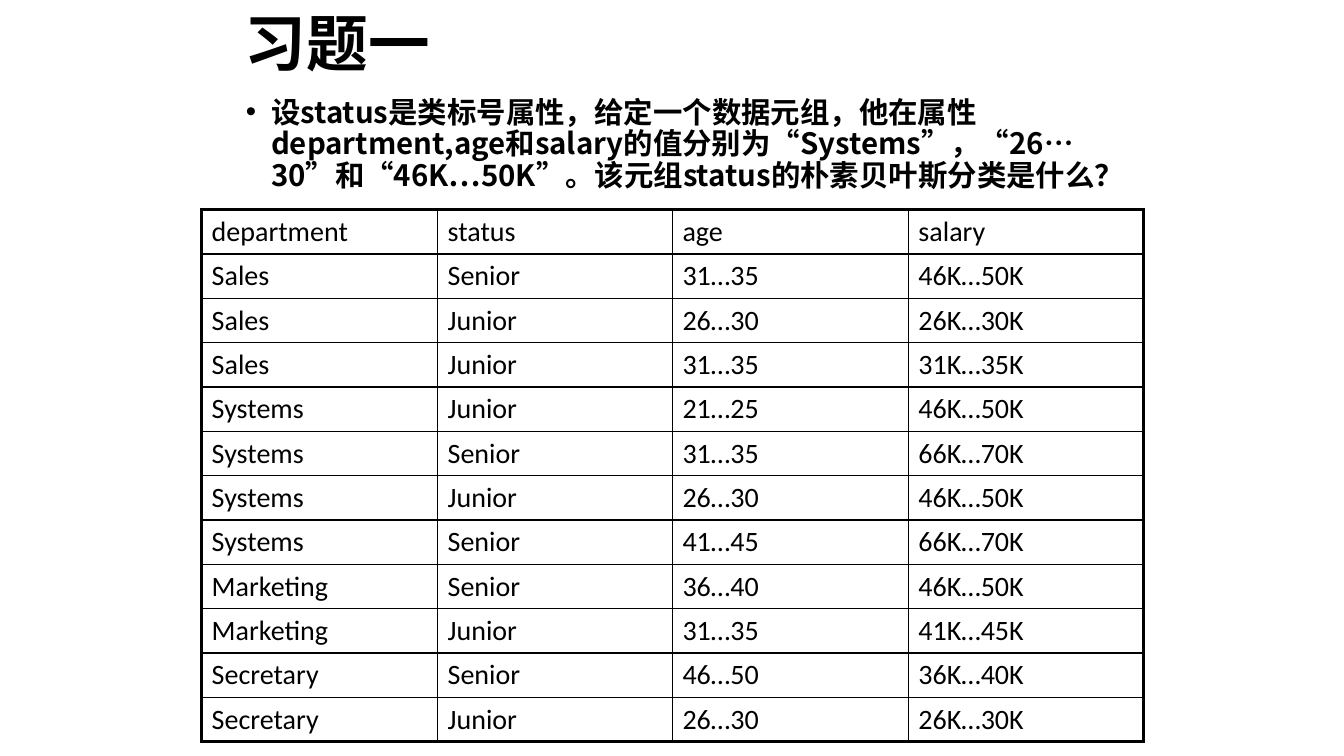
from dataclasses import dataclass
from typing import Any

from lxml import etree
from pptx import Presentation
from pptx.dml.color import RGBColor
from pptx.enum.lang import MSO_LANGUAGE_ID
from pptx.enum.text import MSO_ANCHOR
from pptx.oxml.ns import qn
from pptx.util import Inches, Pt

CHINESE = MSO_LANGUAGE_ID.SIMPLIFIED_CHINESE
TOP, MIDDLE = MSO_ANCHOR.TOP, MSO_ANCHOR.MIDDLE
BLACK = "000000"
LINE_SPACING = 0.9
CJK_FONT = "Noto Sans CJK SC"
HEADING = {"name": CJK_FONT, "size": Pt(44), "bold": True, "language_id": CHINESE}
QUESTION = {"name": CJK_FONT, "size": Pt(21), "bold": True, "language_id": CHINESE}
CELL = {"name": "Calibri", "size": Pt(20), "bold": False}

OUTER, INNER = 2.25, 1
COLUMN_WIDTHS = (2.34, 2.33, 2.34, 2.33)
ROW_HEIGHT = 0.44
RECORDS = (
    ("department", "status", "age", "salary"),
    ("Sales", "Senior", "31…35", "46K…50K"),
    ("Sales", "Junior", "26…30", "26K…30K"),
    ("Sales", "Junior", "31…35", "31K…35K"),
    ("Systems", "Junior", "21…25", "46K…50K"),
    ("Systems", "Senior", "31…35", "66K…70K"),
    ("Systems", "Junior", "26…30", "46K…50K"),
    ("Systems", "Senior", "41…45", "66K…70K"),
    ("Marketing", "Senior", "36…40", "46K…50K"),
    ("Marketing", "Junior", "31…35", "41K…45K"),
    ("Secretary", "Senior", "46…50", "36K…40K"),
    ("Secretary", "Junior", "26…30", "26K…30K"),
)


@dataclass(frozen=True)
class TextBlock:
    text: str
    left: float
    top: float
    width: float
    height: float
    look: dict[str, Any]
    anchor: MSO_ANCHOR
    bulleted: bool = False


TEXT_BLOCKS = (
    TextBlock("习题一", 2.33, -0.08, 8.92, 1.08, HEADING, MIDDLE),
    TextBlock(
        "设status是类标号属性，给定一个数据元组，他在属性department,age和salary的值分别为"
        "“Systems”，“26…30”和“46K…50K”。该元组status的朴素贝叶斯分类是什么？",
        2.34, 0.92, 9.33, 5.08, QUESTION, TOP, bulleted=True,
    ),
)


def color(hex_value: str) -> RGBColor:
    return RGBColor.from_string(hex_value)


def write(paragraph, text: str, look: dict[str, Any]) -> None:
    run = paragraph.add_run()
    run.text = text
    for attribute, value in look.items():
        setattr(run.font, attribute, value)
    run.font.color.rgb = color(BLACK)
    if look["name"] == CJK_FONT:
        east_asian = etree.SubElement(run.font._element, qn("a:ea"))
        east_asian.set("typeface", CJK_FONT)


def add_bullet(paragraph) -> None:
    properties = paragraph._p.get_or_add_pPr()
    properties.set("marL", str(Inches(0.25)))
    properties.set("indent", str(Inches(-0.25)))
    etree.SubElement(properties, qn("a:buFont")).set("typeface", "Arial")
    etree.SubElement(properties, qn("a:buChar")).set("char", "•")


def add_text(slide, block: TextBlock) -> None:
    place = (block.left, block.top, block.width, block.height)
    frame = slide.shapes.add_textbox(*map(Inches, place)).text_frame
    frame.word_wrap = True
    frame.vertical_anchor = block.anchor
    paragraph = frame.paragraphs[0]
    if block.bulleted:
        add_bullet(paragraph)
    paragraph.line_spacing = LINE_SPACING
    write(paragraph, block.text, block.look)


def set_borders(cell, widths: dict[str, float]) -> None:
    """Draw cell edges; they must precede the fill in the cell properties."""
    properties = cell._tc.get_or_add_tcPr()
    for position, (edge, width) in enumerate(widths.items()):
        line = etree.Element(qn(f"a:{edge}"), w=str(Pt(width)))
        fill = etree.SubElement(line, qn("a:solidFill"))
        etree.SubElement(fill, qn("a:srgbClr")).set("val", BLACK)
        properties.insert(position, line)


def add_records(slide) -> None:
    last_row, last_column = len(RECORDS) - 1, len(COLUMN_WIDTHS) - 1
    table = slide.shapes.add_table(
        len(RECORDS), len(COLUMN_WIDTHS), Inches(2), Inches(2.08),
        Inches(sum(COLUMN_WIDTHS)), Inches(ROW_HEIGHT * len(RECORDS)),
    ).table
    table.first_row = table.horz_banding = False
    for column, width in zip(table.columns, COLUMN_WIDTHS):
        column.width = Inches(width)
    for r, record in enumerate(RECORDS):
        table.rows[r].height = Inches(ROW_HEIGHT)
        for c, value in enumerate(record):
            cell = table.cell(r, c)
            cell.fill.background()
            write(cell.text_frame.paragraphs[0], value, CELL)
            set_borders(cell, {
                "lnL": OUTER if c == 0 else INNER,
                "lnR": OUTER if c == last_column else INNER,
                "lnT": OUTER if r == 0 else INNER,
                "lnB": OUTER if r == last_row else INNER,
            })


def main() -> None:
    presentation = Presentation()
    presentation.slide_width = Inches(13.33)
    presentation.slide_height = Inches(7.5)
    slide = presentation.slides.add_slide(presentation.slide_layouts[6])
    for block in TEXT_BLOCKS:
        add_text(slide, block)
    add_records(slide)
    presentation.save("out.pptx")


if __name__ == "__main__":
    main()
